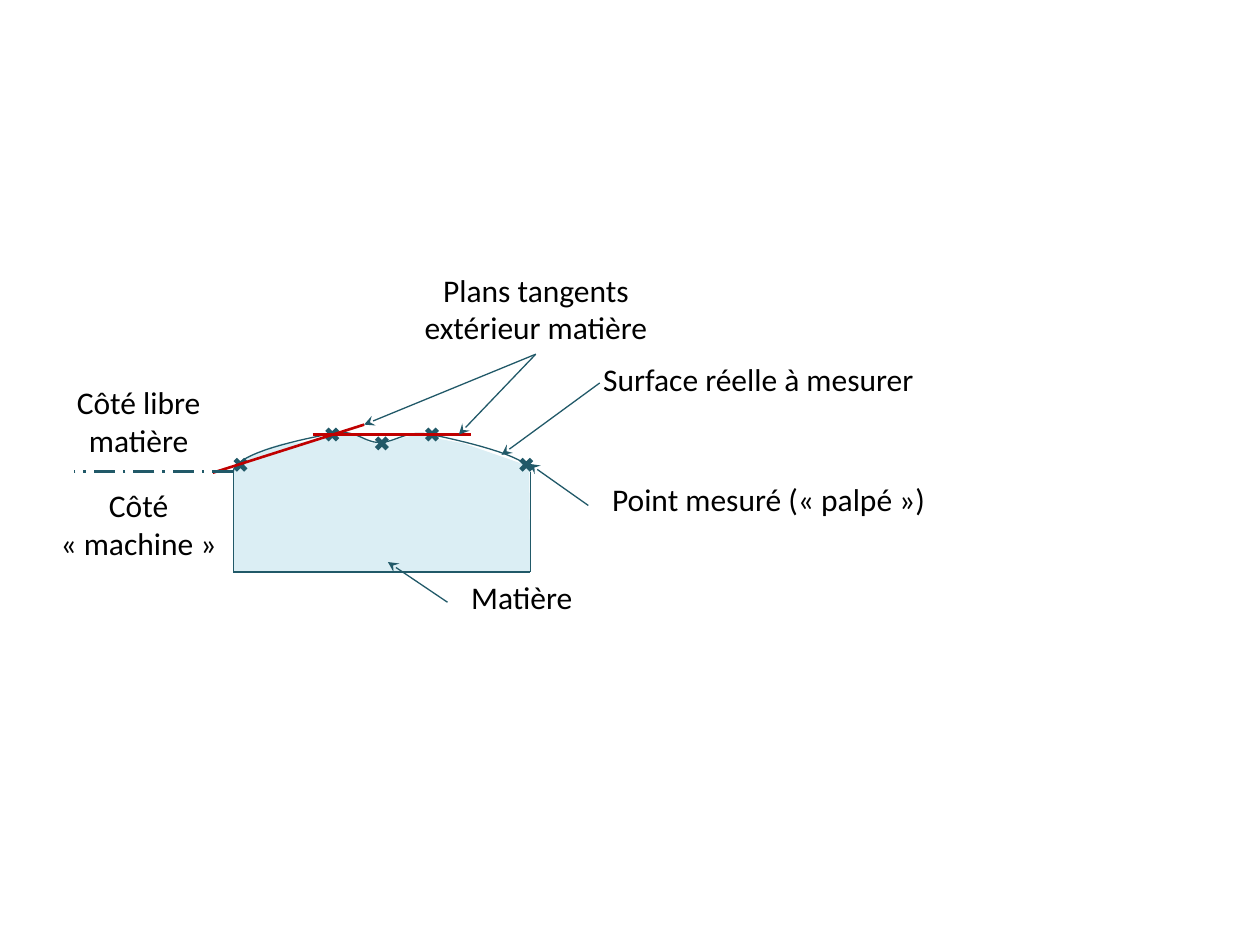
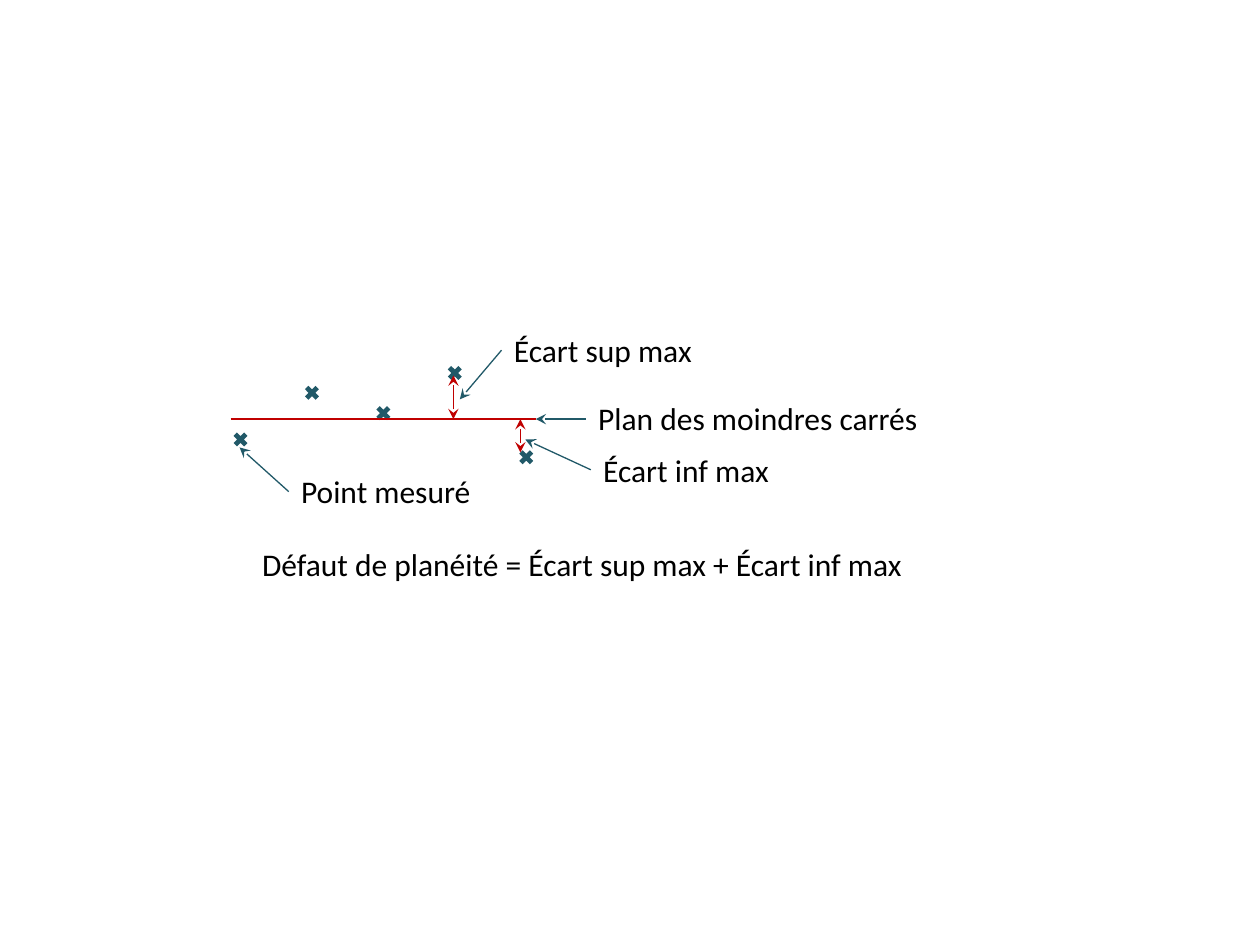
from pptx import Presentation
from pptx.dml.color import RGBColor
from pptx.enum.dml import MSO_LINE
from pptx.enum.shapes import MSO_CONNECTOR, MSO_SHAPE
from pptx.enum.text import MSO_AUTO_SIZE, PP_ALIGN
from pptx.oxml.ns import qn
from pptx.oxml.xmlchemy import OxmlElement
from pptx.util import Cm, Pt

TEAL = RGBColor(0x21, 0x59, 0x68)
PALE_BLUE = RGBColor(0xDB, 0xEE, 0xF4)
RED = RGBColor(0xC0, 0x00, 0x00)
BLACK = RGBColor(0x00, 0x00, 0x00)
STRAIGHT = MSO_CONNECTOR.STRAIGHT
CROSS = MSO_SHAPE.MATH_MULTIPLY
LONG_DASH_DOT = MSO_LINE.LONG_DASH_DOT
LEFT = PP_ALIGN.LEFT
CENTER = PP_ALIGN.CENTER
FIT_SHAPE = MSO_AUTO_SIZE.SHAPE_TO_FIT_TEXT

FONT = "Calibri"
TEXT_SIZE = 18
THIN = 0.75
THICK = 1.5
CROSS_SIZE = 0.41
LINE_HEIGHT = 1.02
TWO_LINES = 1.8

PART_LEFT, PART_RIGHT = 4.7, 10.69
PART_TOP, PART_BOTTOM = 9.51, 11.53

MATERIAL_PROFILE = [
    (4.7, 9.5), (4.85, 9.3), (5.13, 9.14), (5.44, 9.02), (5.69, 8.94),
    (6.07, 8.92), (6.5, 8.84), (6.76, 8.76), (6.99, 8.74), (7.21, 8.74),
    (7.44, 8.92), (7.75, 8.94), (7.98, 8.86), (8.41, 8.76), (8.81, 8.84),
    (9.35, 8.94), (9.78, 9.09), (10.24, 9.25), (10.67, 9.4),
]
SURFACE_START = (PART_LEFT, 9.53)
SURFACE_CURVES = [
    ((4.7, 9.12), (6.2, 8.84), (6.68, 8.74)),
    ((7.19, 8.64), (7.32, 8.92), (7.65, 8.92)),
    ((7.98, 8.92), (8.18, 8.66), (8.69, 8.76)),
    ((9.19, 8.86), (10.69, 9.19), (10.69, 9.5)),
]


def curve_points(start, curves, steps=16):
    points = [start]
    for first, second, end in curves:
        corners = (points[-1], first, second, end)
        for step in range(1, steps + 1):
            t = step / steps
            weights = ((1 - t) ** 3, 3 * t * (1 - t) ** 2, 3 * t * t * (1 - t), t ** 3)
            points.append(tuple(
                sum(weight * corner[axis] for weight, corner in zip(weights, corners))
                for axis in (0, 1)
            ))
    return points


class Diagram:
    def __init__(self):
        self.presentation = Presentation()
        self.presentation.slide_width = Cm(25.4)
        self.presentation.slide_height = Cm(19.05)
        self.slide = None

    def new_slide(self):
        self.slide = self.presentation.slides.add_slide(self.presentation.slide_layouts[6])

    def paint(self, shape, fill=None, line=None):
        shape.shadow.inherit = False
        if fill is None:
            shape.fill.background()
        else:
            shape.fill.solid()
            shape.fill.fore_color.rgb = fill
        if line is None:
            shape.line.fill.background()
        else:
            shape.line.color.rgb = line
            shape.line.width = Pt(THIN)

    def outline(self, points, closed, fill=None, line=None):
        start, *others = [(Cm(x), Cm(y)) for x, y in points]
        builder = self.slide.shapes.build_freeform(*start)
        builder.add_line_segments(others, close=closed)
        self.paint(builder.convert_to_shape(), fill, line)

    def crosses(self, centres):
        for x, y in centres:
            shape = self.slide.shapes.add_shape(
                CROSS, Cm(x - CROSS_SIZE / 2), Cm(y - CROSS_SIZE / 2),
                Cm(CROSS_SIZE), Cm(CROSS_SIZE))
            self.paint(shape, TEAL)

    def line(self, start, end, color=TEAL, width=THIN, dash=None, arrows=()):
        connector = self.slide.shapes.add_connector(
            STRAIGHT, *[Cm(value) for value in (*start, *end)])
        connector.line.color.rgb = color
        connector.line.width = Pt(width)
        if dash is not None:
            connector.line.dash_style = dash
        properties = connector.element.spPr
        for arrow in arrows:
            tip = OxmlElement(arrow)
            tip.set("type", "stealth")
            properties.find(qn("a:ln")).append(tip)
        properties.append(OxmlElement("a:effectLst"))

    def pointer(self, start, end):
        self.line(start, end, arrows=("a:tailEnd",))

    def gap(self, start, end):
        self.line(start, end, RED, arrows=("a:headEnd", "a:tailEnd"))

    def label(self, lines, left, top, width, height=LINE_HEIGHT, align=LEFT, wrap=False):
        box = self.slide.shapes.add_textbox(Cm(left), Cm(top), Cm(width), Cm(height))
        frame = box.text_frame
        frame.word_wrap = wrap
        frame.auto_size = FIT_SHAPE
        for index, text in enumerate(lines):
            paragraph = frame.add_paragraph() if index else frame.paragraphs[0]
            paragraph.alignment = align
            run = paragraph.add_run()
            run.text = text
            run.font.name = FONT
            run.font.size = Pt(TEXT_SIZE)
            run.font.color.rgb = BLACK

    def save(self):
        self.presentation.save("out.pptx")


def draw_tangent_planes(diagram):
    diagram.new_slide()
    bottom_left, bottom_right = (PART_LEFT, PART_BOTTOM), (PART_RIGHT, PART_BOTTOM)
    diagram.outline([bottom_left, *MATERIAL_PROFILE, bottom_right], True, fill=PALE_BLUE)
    diagram.crosses([(4.85, 9.37), (6.7, 8.76), (8.71, 8.76), (10.61, 9.37), (7.7, 8.94)])
    diagram.line((PART_LEFT, PART_TOP), bottom_left)
    diagram.line((PART_RIGHT, PART_TOP), bottom_right)
    diagram.line(bottom_left, bottom_right)
    diagram.outline(curve_points(SURFACE_START, SURFACE_CURVES), False, line=TEAL)

    diagram.pointer((12.09, 7.72), (10.11, 9.17))
    diagram.label(["Surface réelle à mesurer"], 11.91, 7.14, 6.86)
    diagram.pointer((11.86, 10.19), (10.67, 9.35))
    diagram.label(["Point mesuré (« palpé »)"], 12.09, 9.55, 6.91)
    diagram.pointer((9.02, 12.14), (7.82, 11.33))
    diagram.label(["Matière"], 9.25, 11.53, 2.59)

    diagram.line((4.29, 9.53), (7.34, 8.56), RED, THICK)
    diagram.line((6.3, 8.76), (9.5, 8.76), RED, THICK)
    diagram.label(["Plans tangents extérieur matière"], 7.82, 5.33, 5.97, TWO_LINES, CENTER, True)
    for tangent_end in ((7.34, 8.56), (9.25, 8.76)):
        diagram.pointer((10.8, 7.14), tangent_end)

    diagram.label(["Côté libre matière"], 0.89, 7.6, 3.81, TWO_LINES, CENTER, True)
    diagram.line((PART_LEFT, 9.5), (1.5, 9.5), width=THICK, dash=LONG_DASH_DOT)
    diagram.label(["Côté", "« machine »"], 0.89, 9.68, 3.81, TWO_LINES, CENTER, True)


def draw_least_squares_plane(diagram):
    diagram.new_slide()
    heights = (8.86, 7.92, 8.33, 7.52, 9.22)
    diagram.crosses([(4.85 + 1.44 * index, y) for index, y in enumerate(heights)])
    diagram.pointer((5.82, 9.91), (4.83, 9.02))
    diagram.label(["Point mesuré"], 5.82, 9.4, 3.96)

    plane = 8.45
    diagram.line((4.65, plane), (10.8, plane), RED, THICK)
    diagram.pointer((11.81, plane), (10.8, plane))
    diagram.label(["Plan des moindres carrés"], 11.81, 7.92, 7.04)

    diagram.gap((9.14, plane), (9.14, 7.57))
    diagram.gap((10.49, plane), (10.49, 9.12))
    diagram.pointer((10.11, 7.06), (9.27, 8.05))
    diagram.label(["Écart sup max"], 10.11, 6.55, 4.14)
    diagram.label(["Écart inf max"], 11.91, 8.97, 3.89)
    diagram.pointer((11.91, 9.47), (10.59, 8.86))
    diagram.label(["Défaut de planéité = Écart sup max + Écart inf max"],
                  4.65, 10.87, 14.17, align=CENTER, wrap=True)


def main():
    diagram = Diagram()
    draw_tangent_planes(diagram)
    draw_least_squares_plane(diagram)
    diagram.save()


if __name__ == "__main__":
    main()
